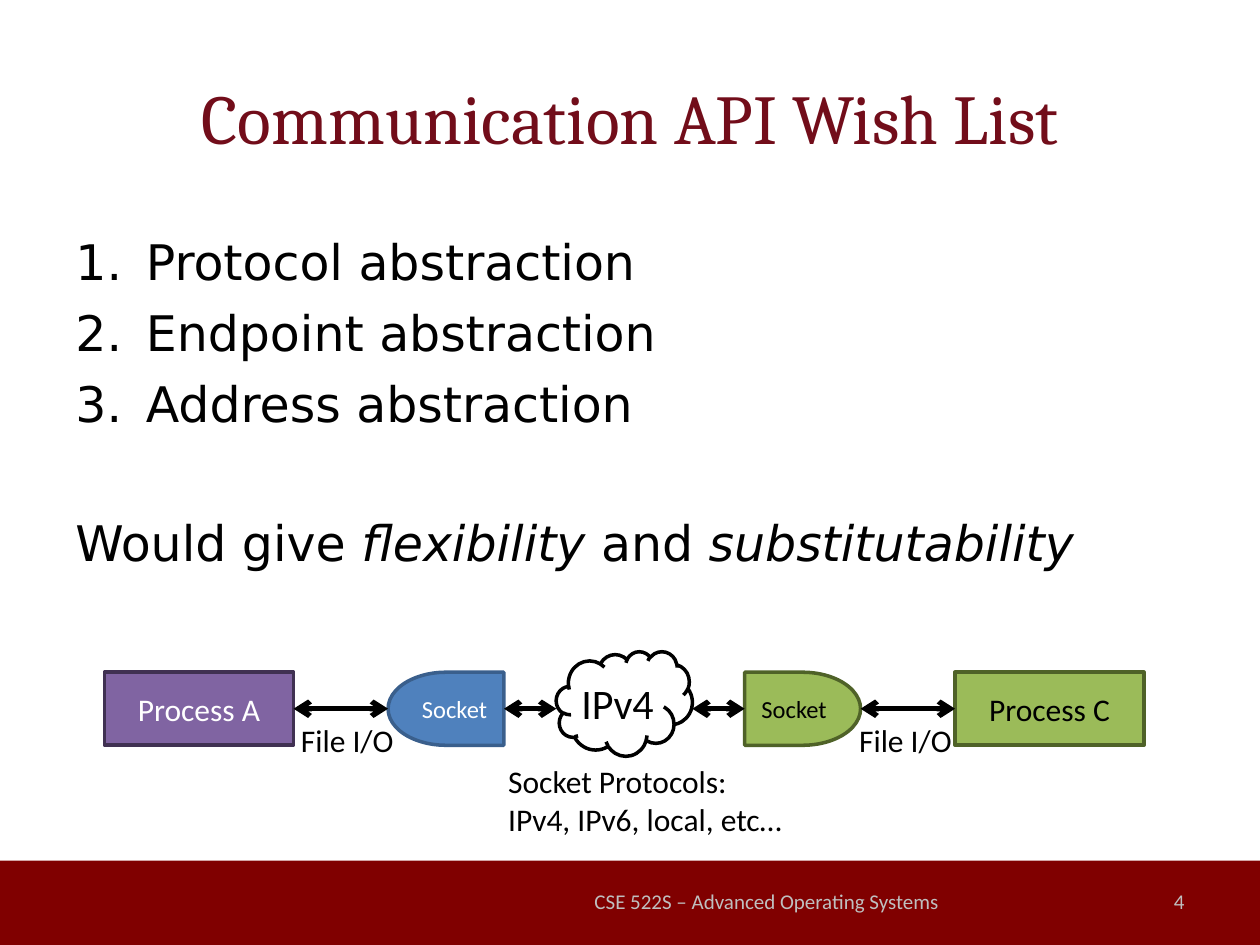
import pptx
import pptx.util
import pptx.dml.color
import pptx.enum.shapes
import pptx.enum.text
import pptx.oxml.ns
from lxml import etree

Inches, Pt = pptx.util.Inches, pptx.util.Pt
RGB = pptx.dml.color.RGBColor
SHAPE = pptx.enum.shapes.MSO_SHAPE
ALIGN = pptx.enum.text.PP_ALIGN
MIDDLE = pptx.enum.text.MSO_ANCHOR.MIDDLE
qn = pptx.oxml.ns.qn

BLACK, WHITE = RGB(0, 0, 0), RGB(0xFF, 0xFF, 0xFF)
MAROON, WINE, GRAY = RGB(0x80, 0, 0), RGB(0x72, 0x0D, 0x1A), RGB(0xBF, 0xBF, 0xBF)
PURPLE, PLUM = RGB(0x80, 0x64, 0xA2), RGB(0x40, 0x31, 0x52)
GREEN, OLIVE = RGB(0x9B, 0xBB, 0x59), RGB(0x4F, 0x62, 0x28)
BLUE, NAVY = RGB(0x4F, 0x81, 0xBD), RGB(0x3A, 0x5F, 0x8C)


def style(par, size, color, face="Calibri", align=None):
    par.font.size, par.font.name = Pt(size), face
    par.font.color.rgb = color
    par.alignment = align


def place(shape, box):
    shape.left, shape.top, shape.width, shape.height = map(Inches, box)


def add_label(slide, box, text, size=18, color=BLACK, align=None, wrap=False):
    label = slide.shapes.add_textbox(*map(Inches, box))
    frame = label.text_frame
    frame.word_wrap = wrap
    frame.text = text
    style(frame.paragraphs[0], size, color, align=align)
    return frame


def add_node(slide, kind, box, fill, line=None, text="", size=18, color=BLACK):
    node = slide.shapes.add_shape(kind, *map(Inches, box))
    node.shadow.inherit = False
    node.fill.solid()
    node.fill.fore_color.rgb = fill
    if line is None:
        node.line.fill.background()
    else:
        node.line.color.rgb, node.line.width = line, Pt(2)
    if text:
        frame = node.text_frame
        frame.text, frame.vertical_anchor = text, MIDDLE
        style(frame.paragraphs[0], size, color, align=ALIGN.CENTER)
    return node


def add_arrow(slide, start, end, y):
    """Draw a level line with an open arrowhead at both ends."""
    kind = pptx.enum.shapes.MSO_CONNECTOR.STRAIGHT
    arrow = slide.shapes.add_connector(
        kind, Inches(start), Inches(y), Inches(end), Inches(y))
    arrow.line.color.rgb, arrow.line.width = BLACK, Pt(3)
    for tag in ("a:headEnd", "a:tailEnd"):
        etree.SubElement(arrow.line._get_or_add_ln(), qn(tag), type="arrow")
    etree.SubElement(arrow._element.spPr, qn("a:effectLst"))
    return arrow


def add_title(slide, box):
    title = slide.shapes.title
    place(title, box)
    frame = title.text_frame
    frame.text, frame.vertical_anchor = "Communication API Wish List", MIDDLE
    style(frame.paragraphs[0], 40, WINE, "Cambria", ALIGN.CENTER)


def add_body(slide, box):
    frame = slide.shapes.add_textbox(*map(Inches, box)).text_frame
    frame.word_wrap = True
    frame.margin_top = Inches(0.09)
    for i, word in enumerate(("Protocol", "Endpoint", "Address")):
        par = frame.paragraphs[0] if i == 0 else frame.add_paragraph()
        par.text = f"{word} abstraction"
        props = par._p.get_or_add_pPr()
        props.set("marL", str(Inches(0.56)))
        props.set("indent", str(Inches(-0.56)))
        if i:
            par.space_before = Pt(6.8)
        etree.SubElement(props, qn("a:buFont"), typeface="+mj-lt")
        etree.SubElement(props, qn("a:buAutoNum"), type="arabicPeriod")
        style(par, 28, BLACK, "DejaVu Sans")
    par = frame.add_paragraph()
    par.space_before = Pt(46)
    for text, slant in (("Would give ", False), ("flexibility", True),
                        (" and ", False), ("substitutability", True)):
        run = par.add_run()
        run.text = text
        run.font.italic = slant
    style(par, 28, BLACK, "DejaVu Sans")


def add_diagram(slide, box):
    """Draw two processes joined through sockets and a network cloud."""
    left, top, width, high = box
    right, mid, y = left + width, left + width / 2, top + high / 2
    wide, tall, socket, gap, cloud = 1.5, 0.58, 0.92, 0.75, 1.08
    row = y + 0.04 - tall / 2
    near, far = left + wide + gap, right - wide - gap - socket

    first = add_node(slide, SHAPE.RECTANGLE, (left, row, wide, tall),
                     PURPLE, PLUM, "Process A", color=WHITE)
    last = add_node(slide, SHAPE.RECTANGLE, (right - wide, row, wide, tall),
                    GREEN, OLIVE, "Process C")
    add_node(slide, SHAPE.FLOWCHART_DELAY, (far, row, socket, tall),
             GREEN, OLIVE, "Socket", 14)
    flip = add_node(slide, SHAPE.FLOWCHART_DELAY, (near, row, socket, tall),
                    BLUE, NAVY, "Socket", 14, WHITE)
    flip._element.spPr.find(qn("a:xfrm")).set("flipH", "1")

    axis = row + tall / 2
    add_arrow(slide, left + wide, near, axis).begin_connect(first, 3)
    add_arrow(slide, far + socket, right - wide, axis).end_connect(last, 1)
    add_arrow(slide, near + socket, mid - cloud / 2, axis)
    add_arrow(slide, mid + cloud / 2, far, axis)

    add_node(slide, SHAPE.CLOUD, (mid - cloud / 2, top, cloud, high), WHITE, BLACK)
    for x in (left + 1.46, right - 2.36):
        add_label(slide, (x, top + 0.5, 0.95, 0.4), "File I/O")
    add_label(slide, (mid - 1.02, top + high, 2.4, 0.71),
              "Socket Protocols: \vIPv4, IPv6, local, etc…")
    add_label(slide, (mid - 0.44, top + 0.16, 0.78, 0.5), "IPv4", 24)


def add_footer(slide, box):
    left, top, width, high = box
    add_node(slide, SHAPE.RECTANGLE, box, MAROON)
    for x, wide, text, align in (
            (4.5, 3.17, "CSE 522S – Advanced Operating Systems", ALIGN.CENTER),
            (7.17, 2.33, "4", ALIGN.RIGHT)):
        frame = add_label(slide, (left + x, top + 0.12, wide, 0.4),
                          text, 12, GRAY, align, True)
        frame.vertical_anchor = MIDDLE


def main():
    deck = pptx.Presentation()
    deck.slide_width, deck.slide_height = Inches(10), Inches(7.5)
    slide = deck.slides.add_slide(deck.slide_layouts[5])
    add_footer(slide, (0, 6.83, 10, 0.67))
    add_title(slide, (0.5, 0.3, 9, 1.25))
    add_body(slide, (0.5, 1.75, 9, 4.95))
    add_diagram(slide, (0.83, 5.17, 8.25, 0.83))
    deck.save("out.pptx")


if __name__ == "__main__":
    main()
